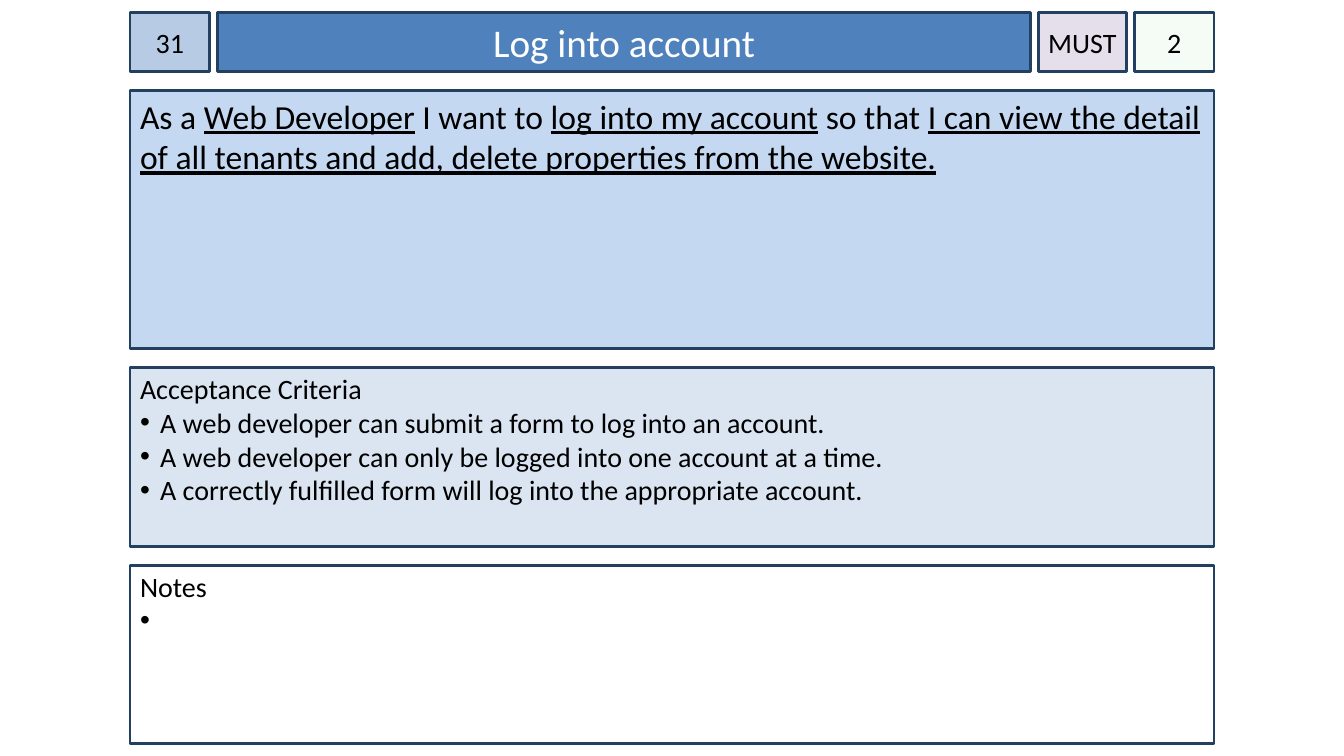
from dataclasses import dataclass

from lxml import etree
from pptx import Presentation
from pptx import util as u
from pptx.dml.color import RGBColor
from pptx.enum import shapes, text
from pptx.oxml.ns import qn

PX = 9144  # EMU per px, 100 px to the inch


@dataclass(frozen=True)
class Theme:
    font: str = "Calibri"
    ink: str = "000000"
    title_ink: str = "FFFFFF"
    border: str = "244061"
    number: str = "B7CCE4"
    title: str = "4F81BD"
    priority: str = "E5DFEC"
    estimate: str = "CCF0CD"
    story: str = "C5D8F1"
    criteria: str = "DAE5F1"
    notes: str = "FFFFFF"
    title_size: int = 28
    story_size: int = 24
    body_size: int = 20
    border_width: int = 2


@dataclass(frozen=True)
class Box:
    left: int
    top: int
    width: int
    height: int


THEME = Theme()
SLIDE_WIDTH, SLIDE_HEIGHT = 1333, 750
CARD = Box(129, 12, 1075, 726)
HEADER_HEIGHT, STORY_HEIGHT, LIST_HEIGHT = 59, 256, 177
PANEL_GAP, HEADER_GAP = 19, 8
BULLET_INDENT = 20

STORY = [
    ("As a ", False),
    ("Web Developer", True),
    (" I want to ", False),
    ("log into my account", True),
    (" so that ", False),
    ("I can view the detail of all tenants and add, delete properties "
     "from the website.", True),
]
CRITERIA = [
    "A web developer can submit a form to log into an account.",
    "A web developer can only be logged into one account at a time.",
    "A correctly fulfilled form will log into the appropriate account.",
]


def add_panel(slide, box, fill, side_inset=10, top_inset=5):
    """Add a bordered rectangle and return it, ready for text at its top."""
    panel = slide.shapes.add_shape(
        shapes.MSO_SHAPE.RECTANGLE,
        *(value * PX for value in (box.left, box.top, box.width, box.height)))
    panel.shadow.inherit = False
    panel.fill.solid()
    panel.fill.fore_color.rgb = RGBColor.from_string(fill)
    panel.line.color.rgb = RGBColor.from_string(THEME.border)
    panel.line.width = u.Pt(THEME.border_width)
    frame = panel.text_frame
    frame.word_wrap = True
    frame.vertical_anchor = text.MSO_ANCHOR.TOP
    frame.margin_left = frame.margin_right = side_inset * PX
    frame.margin_top, frame.margin_bottom = top_inset * PX, 5 * PX
    return panel


def style_paragraph(paragraph, size, color=THEME.ink, align=text.PP_ALIGN.LEFT):
    paragraph.alignment = align
    paragraph.font.name = THEME.font
    paragraph.font.size = u.Pt(size)
    paragraph.font.color.rgb = RGBColor.from_string(color)


def set_transparency(shape, opacity):
    """Set the opacity, in percent, of a solid fill."""
    color = shape.fill._xPr.find(qn("a:solidFill")).find(qn("a:srgbClr"))
    etree.SubElement(color, qn("a:alpha")).set("val", str(opacity * 1000))


def add_bullet(paragraph):
    properties = paragraph._p.get_or_add_pPr()
    properties.set("marL", str(BULLET_INDENT * PX))
    properties.set("indent", str(-BULLET_INDENT * PX))
    bullet_color = etree.SubElement(properties, qn("a:buClr"))
    etree.SubElement(bullet_color, qn("a:srgbClr")).set("val", THEME.ink)
    etree.SubElement(properties, qn("a:buFont")).set("typeface", "Arial")
    etree.SubElement(properties, qn("a:buChar")).set("char", "•")


def add_header(slide, box, number, title, priority, estimate):
    """Lay out the header cells; the title takes the width left over."""
    small, medium = 79, 87
    title_width = box.width - 2 * small - medium - 3 * HEADER_GAP
    cells = [
        (number, small, THEME.number, THEME.body_size, THEME.ink, 0),
        (title, title_width, THEME.title, THEME.title_size, THEME.title_ink, 10),
        (priority, medium, THEME.priority, THEME.body_size, THEME.ink, 0),
        (estimate, small, THEME.estimate, THEME.body_size, THEME.ink, 0),
    ]
    left = box.left
    for label, width, fill, size, ink, inset in cells:
        cell = add_panel(slide, Box(left, box.top, width, box.height), fill, inset)
        cell.text_frame.vertical_anchor = text.MSO_ANCHOR.MIDDLE
        paragraph = cell.text_frame.paragraphs[0]
        paragraph.text = label
        style_paragraph(paragraph, size, ink, text.PP_ALIGN.CENTER)
        if fill == THEME.estimate:
            set_transparency(cell, 20)
        left += width + HEADER_GAP


def add_story(slide, box, phrases):
    paragraph = add_panel(slide, box, THEME.story).text_frame.paragraphs[0]
    style_paragraph(paragraph, THEME.story_size)
    for phrase, underlined in phrases:
        run = paragraph.add_run()
        run.text = phrase
        run.font.underline = underlined


def add_list(slide, box, fill, heading, items):
    frame = add_panel(slide, box, fill, top_inset=4).text_frame
    frame.paragraphs[0].text = heading
    style_paragraph(frame.paragraphs[0], THEME.body_size)
    for item in items:
        paragraph = frame.add_paragraph()
        paragraph.text = item
        style_paragraph(paragraph, THEME.body_size)
        add_bullet(paragraph)


def add_story_card(slide, card):
    rows = []
    top = card.top
    for height in (HEADER_HEIGHT, STORY_HEIGHT, LIST_HEIGHT, LIST_HEIGHT):
        rows.append(Box(card.left, top, card.width, height))
        top += height + PANEL_GAP
    header, story, criteria, notes = rows
    add_header(slide, header, "31", "Log into account", "MUST", "2")
    add_story(slide, story, STORY)
    add_list(slide, criteria, THEME.criteria, "Acceptance Criteria", CRITERIA)
    add_list(slide, notes, THEME.notes, "Notes", [" "])


def main():
    presentation = Presentation()
    presentation.slide_width = SLIDE_WIDTH * PX
    presentation.slide_height = SLIDE_HEIGHT * PX
    slide = presentation.slides.add_slide(presentation.slide_layouts[6])
    add_story_card(slide, CARD)
    presentation.save("out.pptx")


if __name__ == "__main__":
    main()
